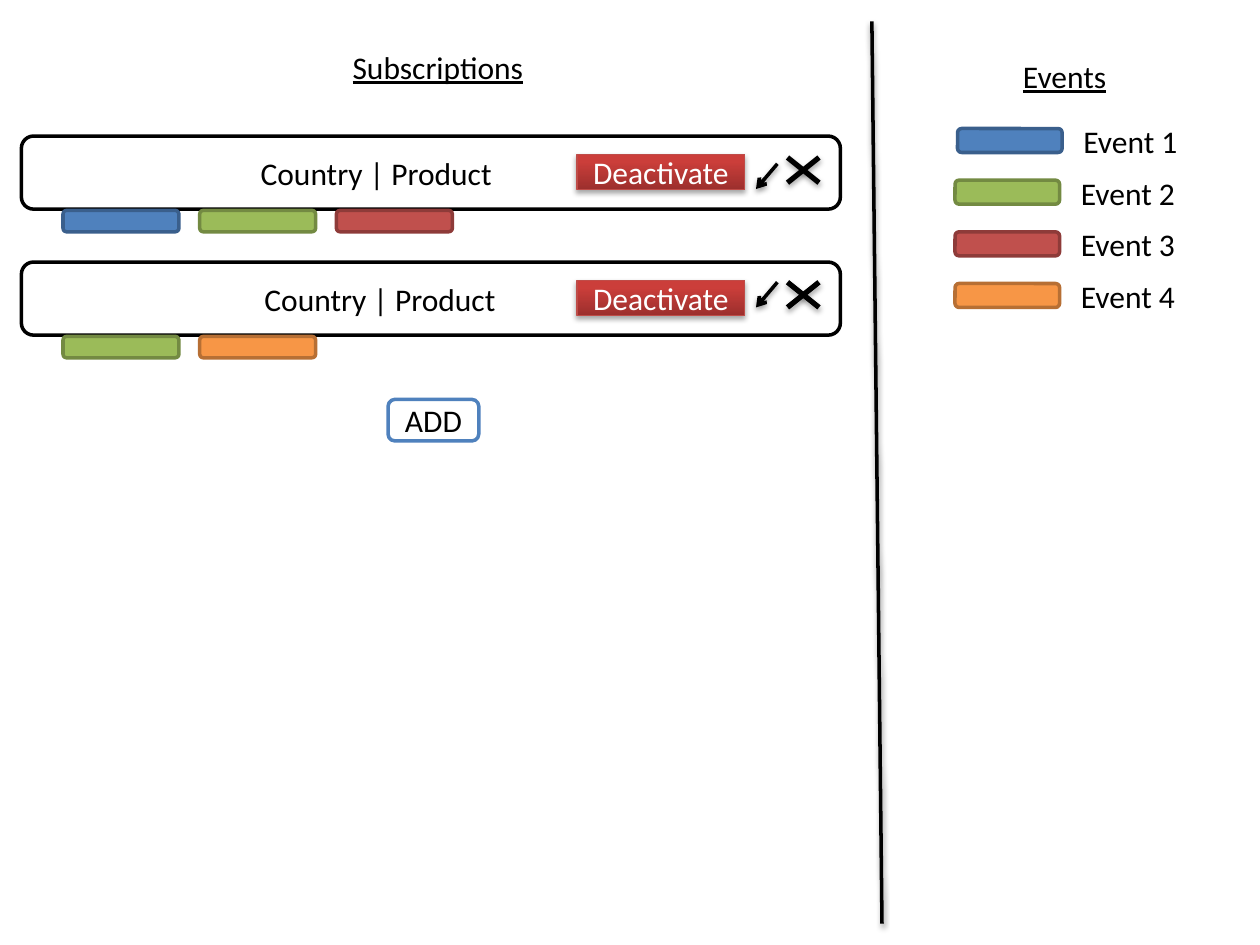
import lxml.etree
import pptx
import pptx.dml.color
import pptx.enum.shapes
import pptx.enum.text
import pptx.oxml.ns
import pptx.util

Inches = pptx.util.Inches
Pt = pptx.util.Pt
Shape = pptx.enum.shapes.MSO_SHAPE

EVENTS = {
    "Event 1": ("4F81BD", "3A5F8C"),
    "Event 2": ("9BBB59", "738A42"),
    "Event 3": ("C0504D", "8E3B39"),
    "Event 4": ("F79646", "B76F34"),
}


def color(value):
    return pptx.dml.color.RGBColor.from_string(value)


def add_child(parent, tag, **attributes):
    child = lxml.etree.SubElement(parent, pptx.oxml.ns.qn(tag))
    for name, value in attributes.items():
        child.set(name, str(value))
    return child


def add_shadow(properties, opacity, distance):
    effects = properties.find(pptx.oxml.ns.qn("a:effectLst"))
    if effects is None:
        effects = add_child(properties, "a:effectLst")
    shadow = add_child(effects, "a:outerShdw", blurRad=Pt(3.1), dist=Pt(distance),
                       dir=90 * 60000, rotWithShape=0)
    black = add_child(shadow, "a:srgbClr", val="000000")
    add_child(black, "a:alpha", val=opacity * 1000)


def style_text(para, text, text_color="000000", underline=None):
    para.text = text
    para.font.name = "Calibri"
    para.font.size = Pt(18)
    para.font.color.rgb = color(text_color)
    para.font.underline = underline


def add_label(page, text, left, top, width, underline=None):
    box = page.shapes.add_textbox(Inches(left), Inches(top), Inches(width), Inches(0.4))
    box.text_frame.word_wrap = False
    box.text_frame.auto_size = pptx.enum.text.MSO_AUTO_SIZE.SHAPE_TO_FIT_TEXT
    style_text(box.text_frame.paragraphs[0], text, underline=underline)


def add_box(page, left, top, width, height, fill, line, kind=Shape.ROUNDED_RECTANGLE, weight=2):
    box = page.shapes.add_shape(kind, Inches(left), Inches(top), Inches(width), Inches(height))
    box.shadow.inherit = False
    box.fill.solid()
    box.fill.fore_color.rgb = color(fill)
    box.line.color.rgb = color(line)
    box.line.width = Pt(weight)
    return box


def center_text(box, text, text_color="000000"):
    frame = box.text_frame
    frame.word_wrap = False
    frame.vertical_anchor = pptx.enum.text.MSO_ANCHOR.MIDDLE
    style_text(frame.paragraphs[0], text, text_color)
    frame.paragraphs[0].alignment = pptx.enum.text.PP_ALIGN.CENTER


def add_line(page, start, end, weight, opacity, distance, arrow=False):
    line = page.shapes.add_connector(pptx.enum.shapes.MSO_CONNECTOR.STRAIGHT,
                                     *map(Inches, start + end))
    line.line.color.rgb = color("000000")
    line.line.width = Pt(weight)
    if arrow:
        add_child(line.line._get_or_add_ln(), "a:tailEnd", type="arrow")
    add_shadow(line._element.spPr, opacity, distance)


def add_deactivate_button(page, left, top):
    button = add_box(page, left, top, 1.33, 0.28, "CB3E3A", "BF4C48", Shape.RECTANGLE, 0.75)
    button.fill.gradient()
    button.fill.gradient_angle = 90
    for stop, (position, value) in zip(button.fill.gradient_stops,
                                       [(0, "9C2F2D"), (0.8, "CB3E3A")]):
        stop.position = position
        stop.color.rgb = color(value)
    add_shadow(button._element.spPr, 35, 1.8)
    center_text(button, "Deactivate", "FFFFFF")


def add_subscription(page, left, top, label_left, icon_top, arrow_top, events):
    add_box(page, left, top, 6.5, 0.58, "FFFFFF", "000000")
    add_deactivate_button(page, left + 4.41, top + 0.145)
    near, far = left + 6.08, left + 6.33
    add_line(page, (near, icon_top), (far, icon_top + 0.2), 3, 35, 1.8)
    add_line(page, (far, icon_top), (near, icon_top + 0.2), 3, 35, 1.8)
    add_label(page, "Country | Product", label_left, top + 0.09, 2.11)
    add_line(page, (left + 6, arrow_top), (left + 5.83, arrow_top + 0.2), 2, 38, 1.6, arrow=True)
    for index, event in enumerate(events):
        add_box(page, left + 0.33 + 1.085 * index, top + 0.59, 0.92, 0.17, *EVENTS[event])


def add_subscriptions(page, left, top):
    add_label(page, "Subscriptions", left + 2.53, top, 1.57, underline=True)
    add_subscription(page, left, top + 0.75, 1.97, 1.25, 1.3, ["Event 1", "Event 2", "Event 3"])
    add_subscription(page, left, top + 1.75, 2, 2.24, 2.24, ["Event 2", "Event 4"])
    add_button = add_box(page, left + 2.91, top + 2.84, 0.72, 0.33, "FFFFFF", "4F81BD")
    center_text(add_button, "ADD")


def add_events(page, left, top):
    add_label(page, "Events", left + 0.44, top, 0.87, underline=True)
    for index, (event, colors) in enumerate(EVENTS.items()):
        row_left = left + (0.02 if index == 0 else 0)
        row_top = top + 0.52 + 0.41 * index
        add_box(page, row_left, row_top + 0.1, 0.83, 0.19, *colors)
        add_label(page, event, row_left + 0.9, row_top, 0.96)


def main():
    deck = pptx.Presentation()
    deck.slide_width = Inches(10)
    deck.slide_height = Inches(7.5)
    page = deck.slides.add_slide(deck.slide_layouts.get_by_name("Blank"))
    add_subscriptions(page, 0.17, 0.33)
    add_line(page, (6.92, 0.17), (7, 7.33), 2, 38, 1.6)
    add_events(page, 7.58, 0.4)
    deck.save("out.pptx")


if __name__ == "__main__":
    main()
